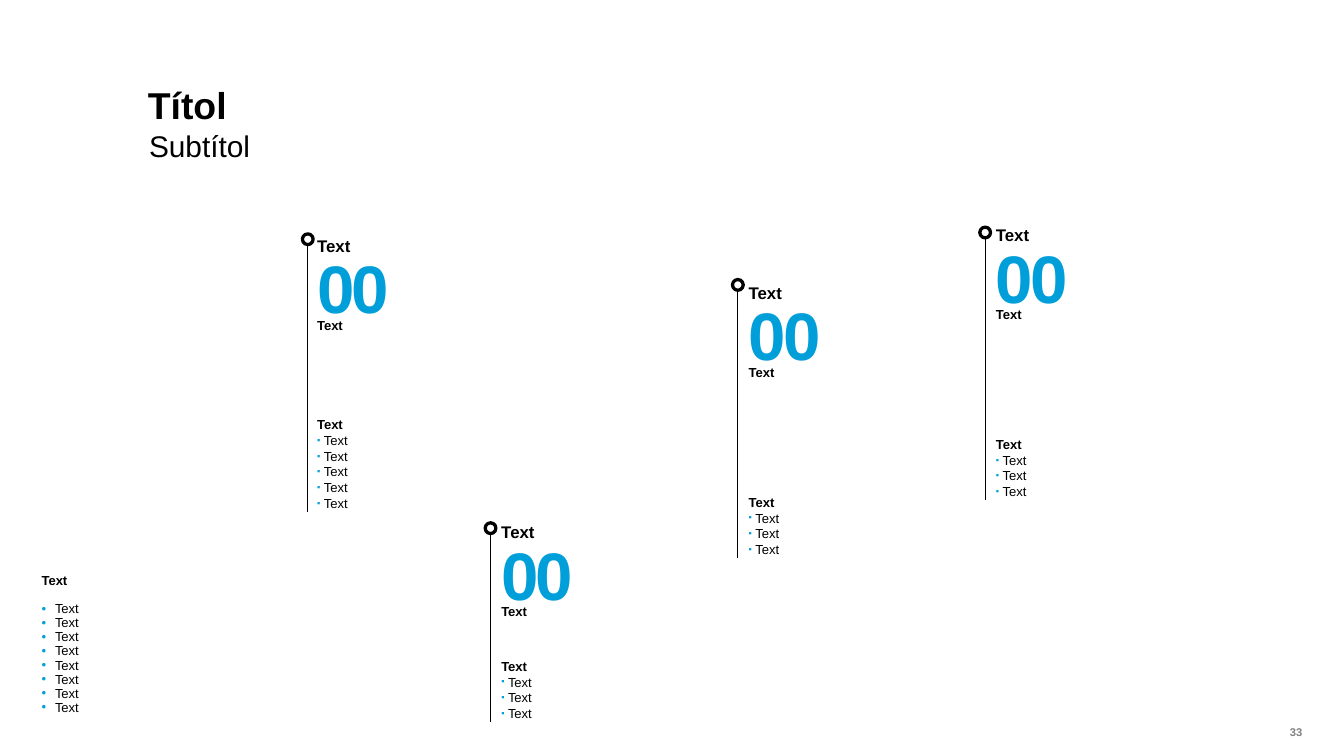
from collections import namedtuple

from lxml import etree
from pptx import Presentation, util as u
from pptx.dml import color
from pptx.enum import shapes, text
from pptx.oxml import ns

BLACK, BLUE, GREY, WHITE = "000000", "009FDA", "808080", "FFFFFF"
FONT = "Arial"
DOT = 0.08
LINE_STEP = 0.118

Stem = namedtuple("Stem", "x left dot_top heading_top end items heading_width caption_width list_width")
STEMS = [
    Stem(2.29, 2.36, 1.74, 1.75, 3.81, 5, 1.29, 0.96, 0.93),
    Stem(3.65, 3.73, 3.89, 3.88, 5.37, 3, 1.76, 0.61, 1.49),
    Stem(5.49, 5.57, 2.08, 2.10, 4.15, 3, 0.75, 1.49, 1.49),
    Stem(7.33, 7.41, 1.69, 1.67, 3.72, 3, 0.69, 1.49, 1.49),
]


def rgb(value):
    """Turn a hex string into a colour."""
    return color.RGBColor.from_string(value)


def add_span(para, words, size, fill=BLACK, bold=False):
    """Add one formatted run to a paragraph."""
    span = para.add_run()
    span.text = words
    span.font.name = FONT
    span.font.size = u.Pt(size)
    span.font.bold = bold
    span.font.color.rgb = rgb(fill)
    return span


def set_bullet(para, symbol, indent, scale):
    """Give a paragraph a blue bullet with a hanging indent."""
    settings = para._p.get_or_add_pPr()
    settings.set("marL", str(u.Inches(indent)))
    settings.set("indent", str(-u.Inches(indent)))
    tint = etree.SubElement(settings, ns.qn("a:buClr"))
    etree.SubElement(tint, ns.qn("a:srgbClr"), val=BLUE)
    etree.SubElement(settings, ns.qn("a:buSzPct"), val=str(scale * 1000))
    etree.SubElement(settings, ns.qn("a:buFont"), typeface=FONT)
    etree.SubElement(settings, ns.qn("a:buChar"), char=symbol)


def format_frame(box, padded=False, anchor=text.MSO_ANCHOR.TOP):
    """Set wrapping, margins and anchor of a text shape."""
    frame = box.text_frame
    frame.word_wrap = True
    frame.auto_size = text.MSO_AUTO_SIZE.NONE
    frame.vertical_anchor = anchor
    frame.margin_left = 0
    frame.margin_right = u.Inches(0.1 if padded else 0)
    frame.margin_top = frame.margin_bottom = u.Inches(0.05 if padded else 0)
    return frame


def add_box(page, left, top, width, height, **style):
    """Add an empty text box and return its frame."""
    box = page.shapes.add_textbox(*map(u.Inches, (left, top, width, height)))
    return format_frame(box, **style)


def add_label(page, place, words, size, fill=BLACK):
    """Add a bold one-line text box and return its run."""
    return add_span(add_box(page, *place).paragraphs[0], words, size, fill, bold=True)


def fill_list(frame, count, symbol, indent, scale, gap=0, spacing=1.0):
    """Write a bold heading followed by bulleted lines."""
    add_span(frame.paragraphs[0], "Text", 7, bold=True)
    frame.paragraphs[0].line_spacing = spacing
    for index in range(count):
        para = frame.add_paragraph()
        para.line_spacing = spacing
        para.space_before = u.Pt(0 if index else gap)
        set_bullet(para, symbol, indent, scale)
        add_span(para, "Text", 7)


def add_line(page, x, top, bottom):
    """Draw a thin vertical line."""
    line = page.shapes.add_connector(
        shapes.MSO_CONNECTOR.STRAIGHT, *map(u.Inches, (x, top, x, bottom)))
    line.line.color.rgb = rgb(BLACK)
    line.line.width = u.Pt(0.5)
    etree.SubElement(line._element.spPr, ns.qn("a:effectLst"))


def add_dot(page, x, top):
    """Draw the ring centred on a line."""
    dot = page.shapes.add_shape(
        shapes.MSO_SHAPE.OVAL, *map(u.Inches, (x - DOT / 2, top, DOT, DOT)))
    dot.shadow.inherit = False
    dot.fill.solid()
    dot.fill.fore_color.rgb = rgb(WHITE)
    dot.line.color.rgb = rgb(BLACK)
    dot.line.width = u.Pt(1.75)


def add_stem(page, stem):
    """Build one line with its ring, figure, captions and list."""
    left, top = stem.left, stem.heading_top
    figure = add_label(page, (left, top + 0.085, 0.7, 0.61), "00", 36, BLUE)
    figure._r.get_or_add_rPr().set("spc", "-150")
    add_line(page, stem.x, stem.dot_top + DOT / 2, stem.end)
    add_label(page, (left, top, stem.heading_width, 0.15), "Text", 9)
    add_label(page, (left, top + 0.61, stem.caption_width, 0.12), "Text", 7)
    height = LINE_STEP * (stem.items + 1)
    frame = add_box(page, left, stem.end - height, stem.list_width, height)
    fill_list(frame, stem.items, "▪", 0.05, 70)
    add_dot(page, stem.x, stem.dot_top)


def add_titles(page):
    """Place the title and the subtitle."""
    title = page.shapes.title
    title.left, title.top, title.width, title.height = map(u.Inches, (1.1, 0.6, 7.01, 0.33))
    subtitle = page.shapes.add_textbox(*map(u.Inches, (1.11, 0.93, 7, 0.33)))
    for box, words, size, bold in ((title, "Títol", 20, True), (subtitle, "Subtítol", 16, False)):
        para = format_frame(box, padded=True).paragraphs[0]
        para.alignment = text.PP_ALIGN.LEFT
        para.line_spacing = 0.9
        add_span(para, words, size, bold=bold)


def main():
    """Build and save the slide."""
    deck = Presentation()
    deck.slide_width = u.Inches(10)
    deck.slide_height = deck.slide_width * 9 // 16
    page = deck.slides.add_slide(deck.slide_layouts[5])
    add_titles(page)
    legend = add_box(page, 0.31, 3.95, 1.03, 1.42, padded=True, anchor=text.MSO_ANCHOR.BOTTOM)
    fill_list(legend, 8, "•", 0.1, 100, gap=7.5, spacing=0.9)
    for stem in STEMS:
        add_stem(page, stem)
    number = add_box(page, 9.11, 5.4, 0.58, 0.1).paragraphs[0]
    number.alignment = text.PP_ALIGN.RIGHT
    add_span(number, "33", 6, GREY, bold=True)
    deck.save("out.pptx")


if __name__ == "__main__":
    main()
